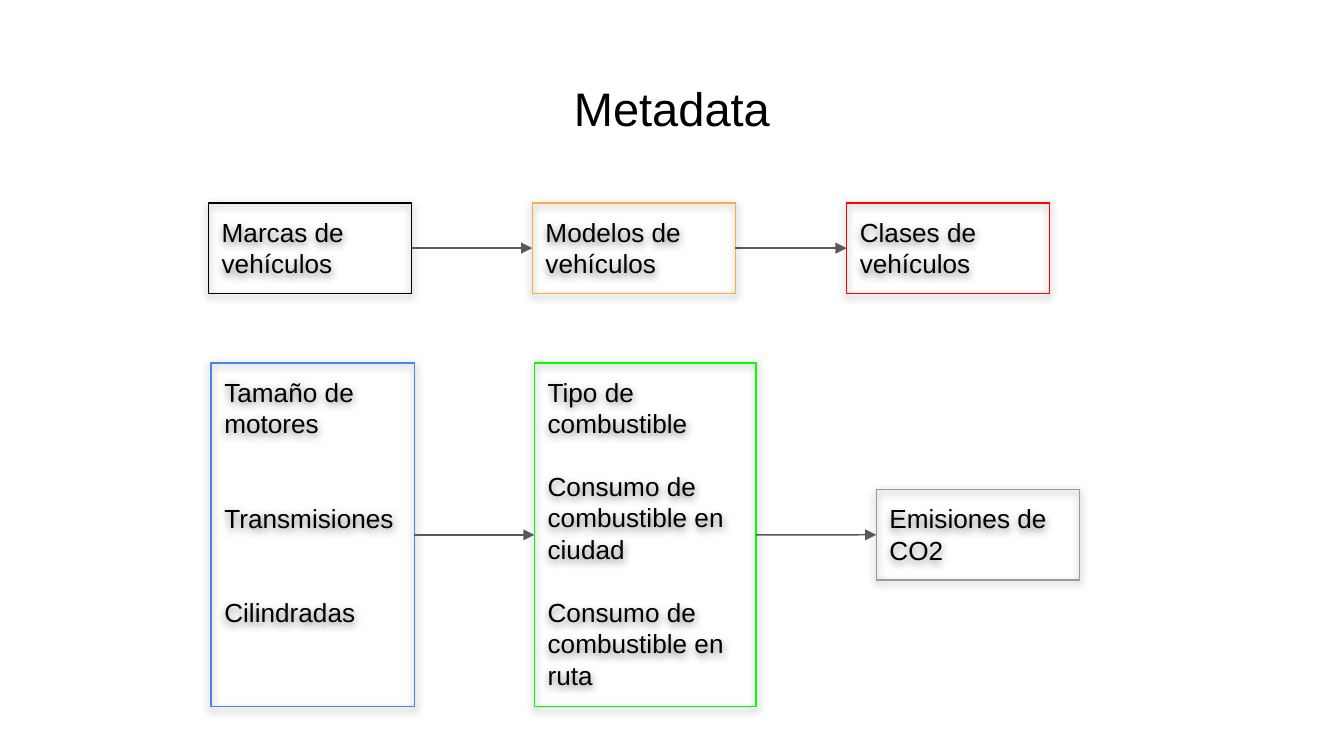
from dataclasses import dataclass

from lxml import etree
from pptx import Presentation
from pptx.dml.color import RGBColor
from pptx.enum.shapes import MSO_CONNECTOR, MSO_SHAPE
from pptx.enum.text import MSO_ANCHOR, PP_ALIGN
from pptx.oxml.ns import qn
from pptx.util import Cm, Pt

RECT = MSO_SHAPE.RECTANGLE
STRAIGHT = MSO_CONNECTOR.STRAIGHT
TOP, MIDDLE = MSO_ANCHOR.TOP, MSO_ANCHOR.MIDDLE
LEFT, CENTER = PP_ALIGN.LEFT, PP_ALIGN.CENTER
LEFT_SITE, RIGHT_SITE = 1, 3
TITLE_ONLY = 5


@dataclass(frozen=True)
class Theme:
    """Fonts, type sizes and colours of the slide."""
    font: str = "Arial"
    title_size: float = 25.2
    body_size: float = 14
    leading: float = 16.85
    line: float = 0.75
    text: str = "000000"
    arrow: str = "595959"
    brands: str = "000000"
    models: str = "FFAB40"
    classes: str = "FF0000"
    engine: str = "4285F4"
    fuel: str = "00FF00"
    emissions: str = "999999"


@dataclass(frozen=True)
class Step:
    """One box of a flow: size in centimetres, colour and its texts."""
    width: float
    height: float
    color: str
    texts: tuple
    blank_lines: int = 0


THEME = Theme()
BOX_W, BOX_H, TALL_H = 3.84, 1.71, 6.5

VEHICLE_STEPS = (
    Step(BOX_W, BOX_H, THEME.brands, ("Marcas de vehículos",)),
    Step(BOX_W, BOX_H, THEME.models, ("Modelos de vehículos",)),
    Step(BOX_W, BOX_H, THEME.classes, ("Clases de vehículos",)),
)
EMISSION_STEPS = (
    Step(BOX_W, TALL_H, THEME.engine,
         ("Tamaño de motores", "Transmisiones", "Cilindradas"), 2),
    Step(4.19, TALL_H, THEME.fuel,
         ("Tipo de combustible", "Consumo de combustible en ciudad",
          "Consumo de combustible en ruta"), 1),
    Step(BOX_W, BOX_H, THEME.emissions, ("Emisiones de CO2",)),
)


def style_frame(tf, anchor):
    """Set wrapping, insets and anchor of a text frame."""
    tf.word_wrap = True
    tf.vertical_anchor = anchor
    tf.margin_left = tf.margin_right = Cm(0.25)
    tf.margin_top = tf.margin_bottom = Cm(0.25)


def style_paragraph(p, size, align):
    """Set the font and alignment of a paragraph."""
    p.alignment = align
    p.font.name = THEME.font
    p.font.size = Pt(size)
    p.font.color.rgb = RGBColor.from_string(THEME.text)


def style_line(line, color):
    """Set the colour and width of a line."""
    line.color.rgb = RGBColor.from_string(color)
    line.width = Pt(THEME.line)


def add_shadow(sp):
    """Give a shape a soft shadow below it."""
    sp.shadow.inherit = False
    effects = sp._element.spPr.find(qn("a:effectLst"))
    shadow = etree.SubElement(
        effects, qn("a:outerShdw"), blurRad=str(Pt(4.5)), dist=str(Pt(1.5)),
        dir="5400000", algn="bl", rotWithShape="0")
    color = etree.SubElement(shadow, qn("a:srgbClr"), val="000000")
    etree.SubElement(color, qn("a:alpha"), val="50000")


def add_title(slide, text, left, top, width, height):
    """Place the title placeholder in the given box."""
    sp = slide.shapes.title
    sp.left, sp.top, sp.width, sp.height = map(Cm, (left, top, width, height))
    tf = sp.text_frame
    tf.text = text
    style_frame(tf, MIDDLE)
    style_paragraph(tf.paragraphs[0], THEME.title_size, CENTER)


def add_box(slide, step, left, top):
    """Draw one outlined box with its texts."""
    sp = slide.shapes.add_shape(
        RECT, Cm(left), Cm(top), Cm(step.width), Cm(step.height))
    sp.fill.background()
    style_line(sp.line, step.color)
    add_shadow(sp)
    tf = sp.text_frame
    style_frame(tf, TOP)
    for i, text in enumerate(step.texts):
        p = tf.add_paragraph() if i else tf.paragraphs[0]
        p.text = text
        style_paragraph(p, THEME.body_size, LEFT)
        p.line_spacing = Pt(THEME.leading)
        if i:
            p.space_before = Pt(THEME.leading * step.blank_lines)
    return sp


def add_arrow(slide, start, end):
    """Join two boxes with an arrow."""
    cxn = slide.shapes.add_connector(STRAIGHT, 0, 0, 0, 0)
    cxn.begin_connect(start, RIGHT_SITE)
    cxn.end_connect(end, LEFT_SITE)
    style_line(cxn.line, THEME.arrow)
    spPr = cxn._element.spPr
    etree.SubElement(spPr.find(qn("a:ln")), qn("a:tailEnd"), type="triangle")
    etree.SubElement(spPr, qn("a:effectLst"))


def add_flow(slide, steps, left, middle, gaps):
    """Draw boxes centred on one height, joined by arrows."""
    boxes = []
    for step, gap in zip(steps, (*gaps, 0)):
        boxes.append(add_box(slide, step, left, middle - step.height / 2))
        left += step.width + gap
    for start, end in zip(boxes, boxes[1:]):
        add_arrow(slide, start, end)


def main():
    """Build and save the slide."""
    prs = Presentation()
    prs.slide_width, prs.slide_height = Cm(25.4), Cm(14.29)
    slide = prs.slides.add_slide(prs.slide_layouts[TITLE_ONLY])
    add_title(slide, "Metadata", 0.87, 1.24, 23.66, 1.6)
    add_flow(slide, VEHICLE_STEPS, 3.94, 4.69, (2.28, 2.1))
    add_flow(slide, EMISSION_STEPS, 3.99, 10.11, (2.27, 2.27))
    prs.save("out.pptx")


if __name__ == "__main__":
    main()
